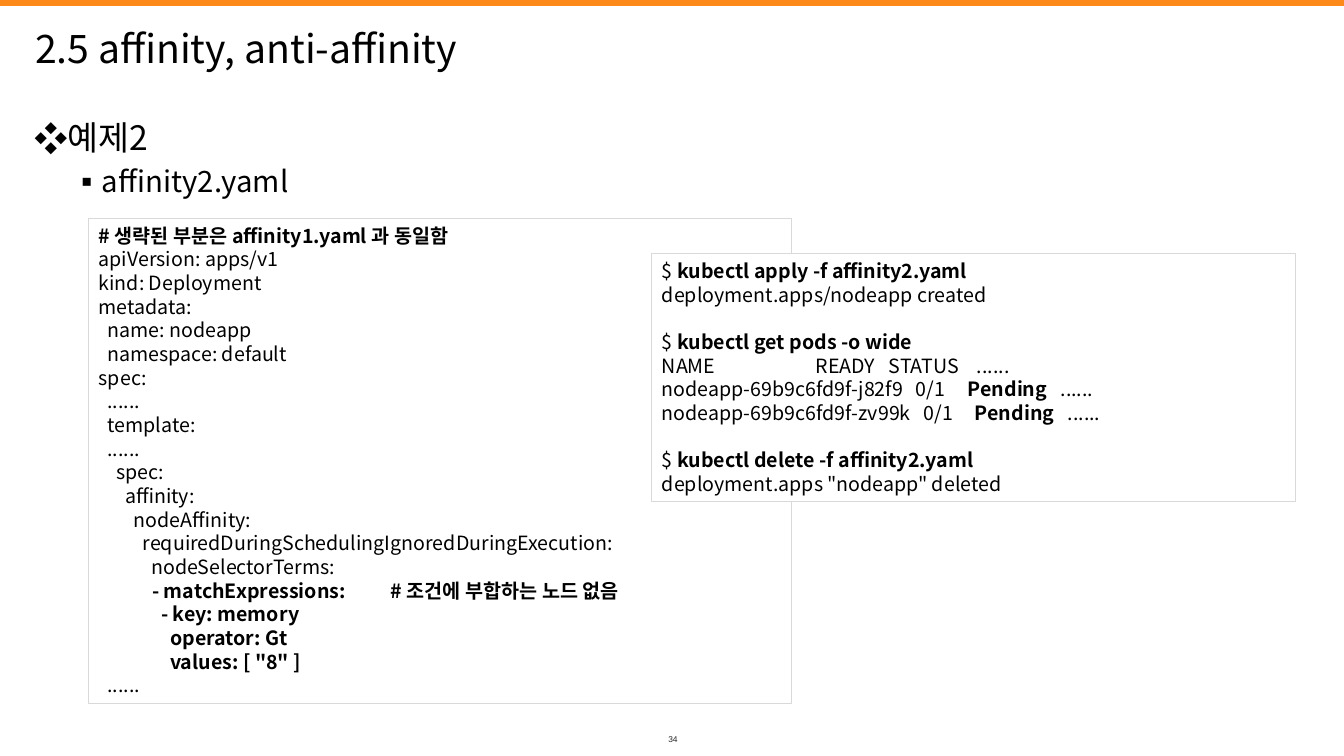
from lxml.etree import SubElement
from pptx import Presentation
from pptx.dml.color import RGBColor
from pptx.enum.shapes import MSO_SHAPE
from pptx.enum.text import MSO_ANCHOR, PP_ALIGN
from pptx.oxml.ns import qn
from pptx.util import Cm, Pt

BLACK = RGBColor(0x00, 0x00, 0x00)
WHITE = RGBColor(0xFF, 0xFF, 0xFF)
ORANGE = RGBColor(0xFC, 0x89, 0x19)
BORDER = RGBColor(0xD9, 0xD9, 0xD9)
DARK_GRAY = RGBColor(0x26, 0x26, 0x26)
BODY_FONT = "Noto Sans CJK KR"
LINE_FACTOR = 1.2
CODE_SIZE = 14
CODE_SPACING = Pt(16.9)


def add_run(paragraph, text, size, bold=False, color=BLACK, font_name=BODY_FONT):
    run = paragraph.add_run()
    run.text = text
    run.font.size = Pt(size)
    run.font.bold = bold
    run.font.color.rgb = color
    run.font.name = font_name
    SubElement(run.font._element, qn("a:ea")).set("typeface", font_name)


def add_box(shape_type, left, top, width, height, fill):
    shape = slide.shapes.add_shape(shape_type, Cm(left), Cm(top), Cm(width), Cm(height))
    shape.shadow.inherit = False
    shape.fill.solid()
    shape.fill.fore_color.rgb = fill
    shape.line.fill.background()
    return shape


presentation = Presentation()
presentation.slide_width = Cm(33.87)
presentation.slide_height = Cm(19.05)
slide = presentation.slides.add_slide(presentation.slide_layouts[6])

# Top bar
add_box(MSO_SHAPE.RECTANGLE, 0, 0, 33.87, 0.15, ORANGE)

# Slide number
number_box = slide.shapes.add_textbox(Cm(16.46), Cm(18.42), Cm(1), Cm(0.43))
number_frame = number_box.text_frame
number_frame.margin_left = number_frame.margin_right = 0
number_frame.margin_top = number_frame.margin_bottom = 0
number_frame.vertical_anchor = MSO_ANCHOR.MIDDLE
number_frame.paragraphs[0].alignment = PP_ALIGN.CENTER
add_run(number_frame.paragraphs[0], "34", 6, color=DARK_GRAY, font_name="Arial")

# Title
title_box = slide.shapes.add_textbox(Cm(0.64), Cm(0.38), Cm(30.48), Cm(1.65))
title_box.text_frame.word_wrap = True
title_box.text_frame.vertical_anchor = MSO_ANCHOR.MIDDLE
title = title_box.text_frame.paragraphs[0]
title.line_spacing = Pt(28 * LINE_FACTOR)
add_run(title, "2.5 affinity, anti-affinity", 28)

# Bulleted headings: text, size, bullet, indent, hanging, space before
headings = [
    ("예제2", 24, "❖", 0.71, 0.71, 0),
    ("affinity2.yaml", 21, "▪", 1.55, 0.58, 4.2),
]
heading_box = slide.shapes.add_textbox(Cm(0.61), Cm(2.82), Cm(32.64), Cm(2.4))
heading_frame = heading_box.text_frame
heading_frame.word_wrap = True
for index, (text, size, bullet, indent, hanging, space) in enumerate(headings):
    paragraph = heading_frame.add_paragraph() if index else heading_frame.paragraphs[0]
    paragraph.level = index
    properties = paragraph._p.get_or_add_pPr()
    properties.set("marL", str(Cm(indent)))
    properties.set("indent", str(-Cm(hanging)))
    SubElement(properties, qn("a:buFont")).set("typeface", BODY_FONT)
    SubElement(properties, qn("a:buChar")).set("char", bullet)
    paragraph.line_spacing = Pt(size * LINE_FACTOR)
    paragraph.space_before = Pt(space)
    add_run(paragraph, text, size)

# Code lines: runs alternate regular and bold; tab stops in cm; gap above or not
manifest = [
    (["", "# 생략된 부분은 affinity1.yaml 과 동일함"], [], False),
    (["apiVersion: apps/v1"], [], False),
    (["kind: Deployment"], [], False),
    (["metadata:"], [], False),
    (["  name: nodeapp"], [], False),
    (["  namespace: default"], [], False),
    (["spec:"], [], False),
    (["  ......"], [], False),
    (["  template:"], [], False),
    (["  ......"], [], False),
    (["    spec:"], [], False),
    (["      affinity:"], [], False),
    (["        nodeAffinity:"], [], False),
    (["          requiredDuringSchedulingIgnoredDuringExecution:"], [], False),
    (["            nodeSelectorTerms:"], [], False),
    (["", "            - matchExpressions:\t# 조건에 부합하는 노드 없음"], [7.36], False),
    (["", "              - key: memory"], [], False),
    (["", "                operator: Gt"], [], False),
    (["", '                values: [ "8" ]'], [], False),
    (["  ......"], [], False),
]
terminal = [
    (["$ ", "kubectl apply -f affinity2.yaml"], [], False),
    (["deployment.apps/nodeapp created"], [], False),
    (["$ ", "kubectl get pods -o wide"], [], True),
    (["NAME\tREADY\tSTATUS\t......"], [3.88, 5.72, 7.94], False),
    (["nodeapp-69b9c6fd9f-j82f9\t0/1\t", "Pending", "\t......"], [6.4, 7.71, 10.05], False),
    (["nodeapp-69b9c6fd9f-zv99k\t0/1\t", "Pending", "\t......"], [6.6, 7.89, 10.23], False),
    (["$ ", "kubectl delete -f affinity2.yaml"], [], True),
    (['deployment.apps "nodeapp" deleted'], [], False),
]

# Code boxes
code_boxes = [
    (2.24, 5.51, 17.7, 12.22, manifest),
    (16.43, 6.4, 16.21, 6.25, terminal),
]
for left, top, width, height, lines in code_boxes:
    code_box = add_box(MSO_SHAPE.RECTANGLE, left, top, width, height, WHITE)
    code_box.line.color.rgb = BORDER
    code_box.line.width = Pt(0.75)
    code_frame = code_box.text_frame
    code_frame.word_wrap = True
    code_frame.vertical_anchor = MSO_ANCHOR.TOP
    for index, (texts, tab_stops, gap_above) in enumerate(lines):
        paragraph = code_frame.add_paragraph() if index else code_frame.paragraphs[0]
        if tab_stops:
            tab_list = SubElement(paragraph._p.get_or_add_pPr(), qn("a:tabLst"))
            for position in tab_stops:
                SubElement(tab_list, qn("a:tab"), pos=str(Cm(position)), algn="l")
        paragraph.alignment = PP_ALIGN.LEFT
        paragraph.line_spacing = CODE_SPACING
        if gap_above:
            paragraph.space_before = CODE_SPACING
        for order, text in enumerate(texts):
            if text:
                add_run(paragraph, text, CODE_SIZE, bold=order % 2 == 1)

presentation.save("out.pptx")
